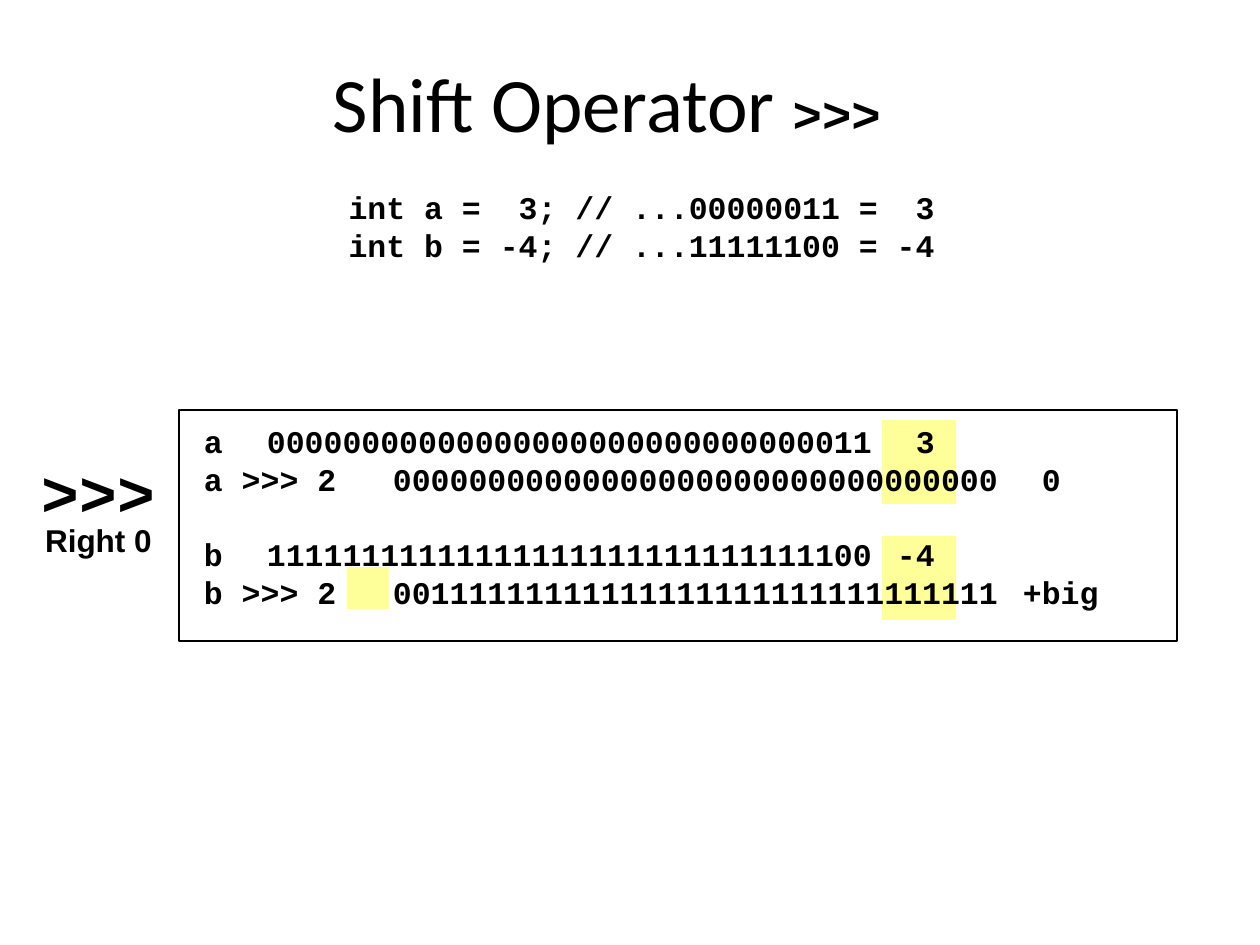
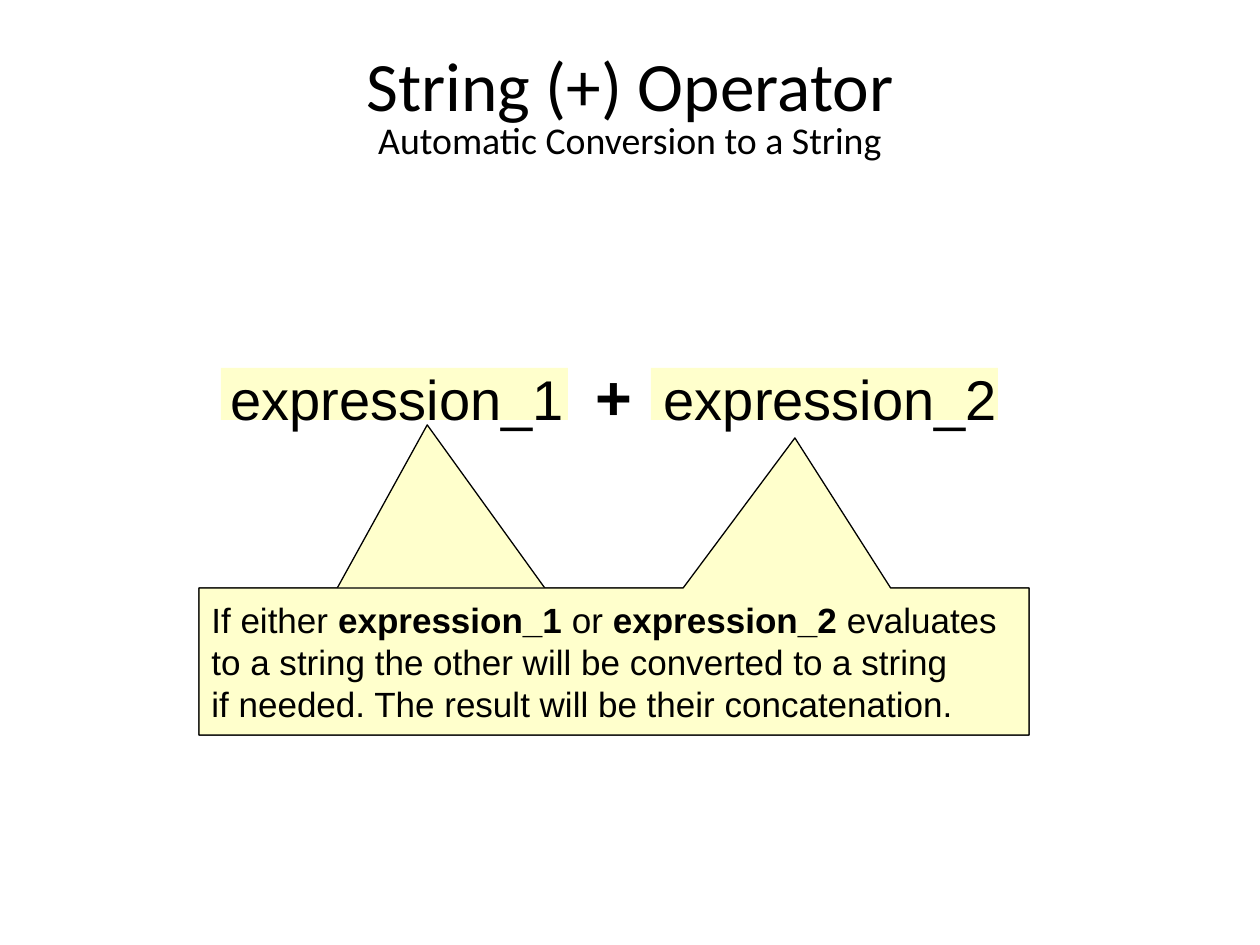
from dataclasses import dataclass

from lxml import etree
from pptx import Presentation
from pptx import util as u
from pptx.dml.color import RGBColor
from pptx.enum import shapes, text
from pptx.oxml import ns

PX = 914400 / 126


@dataclass(frozen=True)
class Theme:
    ink: RGBColor = RGBColor(0, 0, 0)
    marker: RGBColor = RGBColor(0xFF, 0xFF, 0x99)
    note: RGBColor = RGBColor(0xFF, 0xFF, 0xCC)
    heading: str = "Calibri"
    prose: str = "Arial"
    code: str = "Courier New"
    title: float = u.Pt(44)
    two_line_title: float = u.Pt(39.6)
    subtitle: float = u.Pt(21.6)
    title_code: float = u.Pt(28)
    symbol: float = u.Pt(36)
    formula: float = u.Pt(32)
    note_text: float = u.Pt(20)
    code_text: float = u.Pt(18)
    tight: float = 0.8
    row_gap: float = u.Pt(4.5)
    group_gap: float = u.Pt(25.5)
    formula_gap: float = u.Pt(6.5)


THEME = Theme()
TITLE_AREA = (94, 52, 1072, 116)
CENTER = text.PP_ALIGN.CENTER
CODE = dict(name=THEME.code, size=THEME.code_text, bold=True)


def px(length):
    return u.Emu(round(length * PX))


def apply(target, formats):
    for name, value in formats.items():
        setattr(target, name, value)


def place(shape, area):
    apply(shape, dict(zip(("left", "top", "width", "height"), map(px, area))))


def fill_frame(shape, paragraphs, **formats):
    """Write (spans, paragraph formats) pairs; each span is (words, font formats)."""
    frame = shape.text_frame
    apply(frame, dict(word_wrap=True, auto_size=text.MSO_AUTO_SIZE.NONE) | formats)
    for index, (spans, para_formats) in enumerate(paragraphs):
        para = frame.add_paragraph() if index else frame.paragraphs[0]
        apply(para, dict(alignment=text.PP_ALIGN.LEFT) | para_formats)
        for words, font_formats in spans:
            span = para.add_run()
            span.text = words
            fonts = dict(font_formats)
            spacing = fonts.pop("spacing", None)
            apply(span.font, fonts)
            span.font.color.rgb = THEME.ink
            if spacing:
                span._r.get_or_add_rPr().set("spc", str(spacing * 100))
    return frame


def add_page(deck, layout, title_paragraphs):
    page = deck.slides.add_slide(deck.slide_layouts[layout])
    title = page.shapes.title
    place(title, TITLE_AREA)
    formats = dict(alignment=CENTER, line_spacing=THEME.tight)
    fill_frame(title, [(spans, formats) for spans in title_paragraphs],
               vertical_anchor=text.MSO_ANCHOR.MIDDLE)
    return page


def add_box(page, area, fill=None, outlined=False,
            preset=shapes.MSO_SHAPE.RECTANGLE):
    box = page.shapes.add_shape(preset, *map(px, area))
    box.shadow.inherit = False
    if fill is None:
        box.fill.background()
    else:
        box.fill.solid()
        box.fill.fore_color.rgb = fill
    if outlined:
        box.line.color.rgb = THEME.ink
        box.line.width = u.Pt(0.75)
    else:
        box.line.fill.background()
    return box


def add_callout(page, area, tip):
    callout = add_box(page, area, THEME.note, True,
                      shapes.MSO_SHAPE.RECTANGULAR_CALLOUT)
    for index, offset in enumerate(tip):
        callout.adjustments[index] = offset
    return callout


def add_text(page, area, paragraphs, **formats):
    box = page.shapes.add_textbox(*map(px, area))
    fill_frame(box, paragraphs, **formats)


def code_rows(lines, group_starts=()):
    return [([(line, CODE)],
             dict(line_spacing=THEME.tight,
                  space_before=(THEME.group_gap if index in group_starts
                                else THEME.row_gap)))
            for index, line in enumerate(lines)]


def set_columns(frame, stops=()):
    """Remove bullets and indents, and set left tab stops in px."""
    for para in frame.paragraphs:
        properties = para._p.get_or_add_pPr()
        for name in ("marL", "indent"):
            properties.set(name, "0")
        etree.SubElement(properties, ns.qn("a:buNone"))
        if stops:
            tabs = etree.SubElement(properties, ns.qn("a:tabLst"))
            for stop in stops:
                etree.SubElement(tabs, ns.qn("a:tab"), pos=str(px(stop)), algn="l")


def shift_page(deck):
    page = add_page(deck, 1, [[
        ("Shift Operator ", dict(name=THEME.heading, size=THEME.title)),
        (">>>", CODE | dict(size=THEME.title_code)),
        (" ", CODE | dict(size=THEME.title)),
    ]])
    declarations = page.placeholders[1]
    place(declarations, (336, 189, 620, 84))
    set_columns(fill_frame(declarations, code_rows([
        "int a =  3; // ...00000011 =  3",
        "int b = -4; // ...11111100 = -4",
    ])))

    for marked_bits in ((882, 420, 74, 84), (882, 536, 74, 84), (347, 567, 42, 42)):
        add_box(page, marked_bits, THEME.marker)

    label = dict(alignment=CENTER, line_spacing=THEME.tight)
    add_text(page, (29, 462, 139, 103), [
        ([(">>>", CODE | dict(size=THEME.symbol))], label),
        ([("Right 0", CODE | dict(name=THEME.prose))], label),
    ], word_wrap=False)

    bit_rows = [
        ("a", "0" * 30 + "11", " 3"),
        ("a >>> 2", "0" * 32, " 0"),
        ("b", "1" * 30 + "00", "-4"),
        ("b >>> 2", "00" + "1" * 30, "+big"),
    ]
    bits = add_box(page, (179, 410, 998, 231), outlined=True)
    frame = fill_frame(
        bits, code_rows(["\t".join(row) for row in bit_rows], group_starts=(2,)),
        vertical_anchor=text.MSO_ANCHOR.TOP, margin_left=px(25), margin_right=px(25),
        margin_top=px(19), margin_bottom=px(19))
    set_columns(frame, stops=(151, 832))


def string_page(deck):
    heading = dict(name=THEME.heading)
    page = add_page(deck, 5, [
        [("String (+) Operator", heading | dict(size=THEME.two_line_title))],
        [("Automatic Conversion to a String", heading | dict(size=THEME.subtitle))],
    ])
    for left in (651, 221):
        add_box(page, (left, 368, 347, 52), THEME.note)

    note_area = (199, 588, 830, 147)
    add_callout(page, note_area, (-0.225, -1.61))
    note = add_callout(page, note_area, (0.218, -1.521))
    plain = dict(name=THEME.prose, size=THEME.note_text)
    strong = plain | dict(bold=True)
    fill_frame(note, [
        ([("If either ", plain), ("expression_1", strong), (" or ", plain),
          ("expression_2 ", strong), ("evaluates", plain)], {}),
        ([("to a string the other will be converted to a string", plain)], {}),
        ([("if needed. The result will be their concatenation.", plain)], {}),
    ], vertical_anchor=text.MSO_ANCHOR.MIDDLE)

    term = dict(name=THEME.prose, size=THEME.formula)
    gap = (" ", term | dict(spacing=9))
    plus = ("+", term | dict(size=THEME.symbol, bold=True))
    add_text(page, (73, 336, 1082, 84), [
        ([("expression_1", term), gap, plus, gap, ("expression_2", term)],
         dict(alignment=CENTER, line_spacing=1.2,
              space_before=THEME.formula_gap)),
    ])


def main():
    deck = Presentation()
    apply(deck, dict(slide_width=px(1260), slide_height=px(945)))
    shift_page(deck)
    string_page(deck)
    deck.save("out.pptx")


if __name__ == "__main__":
    main()
